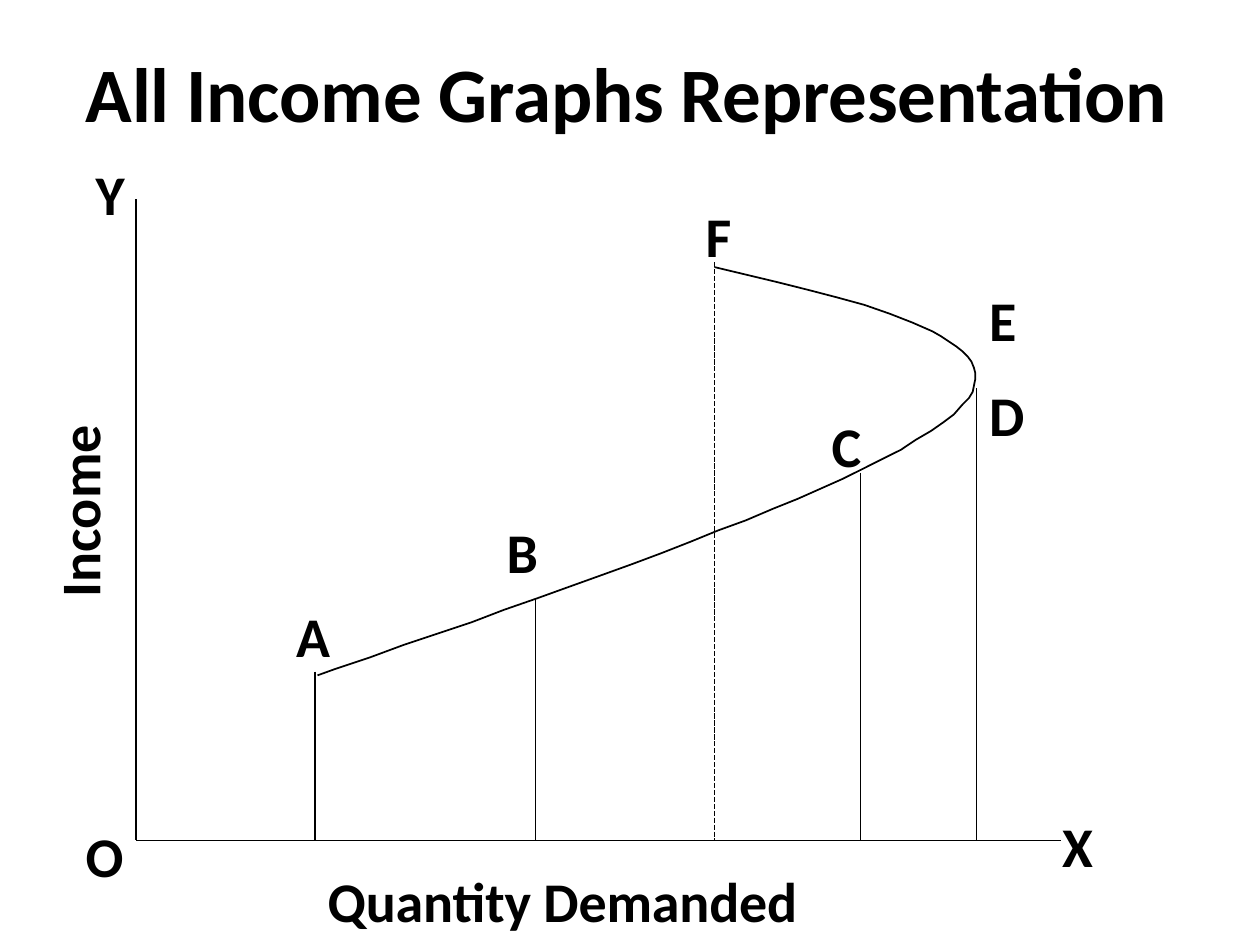
from pptx import Presentation
from pptx.dml.color import RGBColor
from pptx.enum import dml, shapes
from pptx.oxml import parse_xml
from pptx.oxml.ns import nsdecls
from pptx.util import Inches, Pt

BLACK = RGBColor(0, 0, 0)
ORIGIN_X, AXIS_Y = 1.08, 6.67

deck = Presentation()
deck.slide_width, deck.slide_height = Inches(10), Inches(7.5)
slide = deck.slides.add_slide(deck.slide_layouts[6])


def add_label(left, top, width, height, lines, size=32, inset=0.01):
    """Add bold text; each line is (text, left margin in inches, points before)."""
    box = slide.shapes.add_textbox(*map(Inches, (left, top, width, height)))
    frame = box.text_frame
    frame.word_wrap = True
    frame.margin_left = frame.margin_right = frame.margin_bottom = 0
    frame.margin_top = Inches(inset)
    for number, (words, margin, before) in enumerate(lines):
        paragraph = frame.add_paragraph() if number else frame.paragraphs[0]
        paragraph.text = words
        paragraph.space_before = Pt(before)
        paragraph.font.name = "Calibri"
        paragraph.font.size = Pt(size)
        paragraph.font.bold = True
        paragraph.font.color.rgb = BLACK
        paragraph._p.get_or_add_pPr().set("marL", str(Inches(margin)))
    return frame


def add_line(x1, y1, x2, y2):
    line = slide.shapes.add_connector(
        shapes.MSO_CONNECTOR.STRAIGHT, *map(Inches, (x1, y1, x2, y2)))
    line.line.color.rgb = BLACK
    line.line.width = Pt(1)
    line._element.spPr.append(parse_xml(f"<a:effectLst {nsdecls('a')}/>"))
    return line


# Title
title = add_label(0.67, 0.35, 8.67, 0.76,
                  [("All Income Graphs Representation", 0.01, 1)], size=44)
title.paragraphs[0].runs[0].font._element.set("spc", "-15")

# Axes
add_line(ORIGIN_X, 1.58, ORIGIN_X, AXIS_Y)
add_line(ORIGIN_X, AXIS_Y, 8.42, AXIS_Y)

# Income curve, from F round the bend and down to A
curve_points = [
    (5.67, 2.12), (5.92, 2.18), (6.17, 2.24), (6.41, 2.3), (6.64, 2.36),
    (6.86, 2.42), (7.06, 2.49), (7.24, 2.56), (7.4, 2.63), (7.47, 2.67),
    (7.53, 2.71), (7.59, 2.75), (7.64, 2.79), (7.68, 2.83), (7.71, 2.87),
    (7.73, 2.92), (7.74, 2.96), (7.74, 3.01), (7.73, 3.06), (7.72, 3.11),
    (7.69, 3.16), (7.64, 3.21), (7.57, 3.29), (7.49, 3.35), (7.39, 3.42),
    (7.27, 3.49), (7.15, 3.57), (7.01, 3.64), (6.85, 3.72), (6.69, 3.8),
    (6.51, 3.88), (6.33, 3.96), (6.13, 4.04), (5.92, 4.13), (5.7, 4.21),
    (5.48, 4.3), (5.25, 4.39), (5.01, 4.48), (4.76, 4.57), (4.51, 4.66),
    (4.26, 4.75), (4, 4.84), (3.74, 4.94), (3.47, 5.03), (3.2, 5.12),
    (2.93, 5.22), (2.66, 5.31), (2.52, 5.36),
]
start, *rest = [(Inches(x), Inches(y)) for x, y in curve_points]
builder = slide.shapes.build_freeform(*start)
builder.add_line_segments(rest, close=False)
curve = builder.convert_to_shape()
curve.shadow.inherit = False
curve.fill.background()
curve.line.color.rgb = BLACK
curve.line.width = Pt(1)

# Drop lines from C, A, D and B, then the dashed one from F
for x, top in [(6.83, 3.75), (2.5, 5.33), (7.75, 3.08), (4.25, 4.75)]:
    add_line(x, top, x, AXIS_Y)
f_drop = add_line(5.67, 2.08, 5.67, AXIS_Y)
f_drop.line.dash_style = dml.MSO_LINE.SQUARE_DOT

# Axis ends and curve points
for letter, left, top, width, before in [
    ("O", 0.67, 6.51, 0.33, 1),
    ("Y", 0.75, 1.26, 0.26, 1.1),
    ("C", 6.59, 3.26, 0.26, 1.1),
    ("D", 7.84, 3.01, 0.31, 1.1),
    ("E", 7.84, 2.26, 0.25, 1.1),
    ("F", 5.59, 1.59, 0.23, 1.1),
    ("X", 8.42, 6.43, 0.27, 1),
]:
    add_label(left, top, width, 0.56, [(letter, 0.01, before)])
add_label(2.34, 3.96, 1.95, 1.36,
          [("B", 1.68, 10.6), ("A", 0.01, 9.6)], inset=0.15)

# Axis titles
income = add_label(0.45, 3.35, 0.47, 1.4, [("Income", 0.01, 0)], inset=0)
income.paragraphs[0].line_spacing = Pt(31.4)
income._txBody.bodyPr.set("vert", "vert270")
quantity = add_label(2.59, 6.87, 3.77, 0.56, [("Quantity Demanded", 0.01, 1)])
quantity.paragraphs[0].runs[0].font._element.set("spc", "-10")

deck.save("out.pptx")
